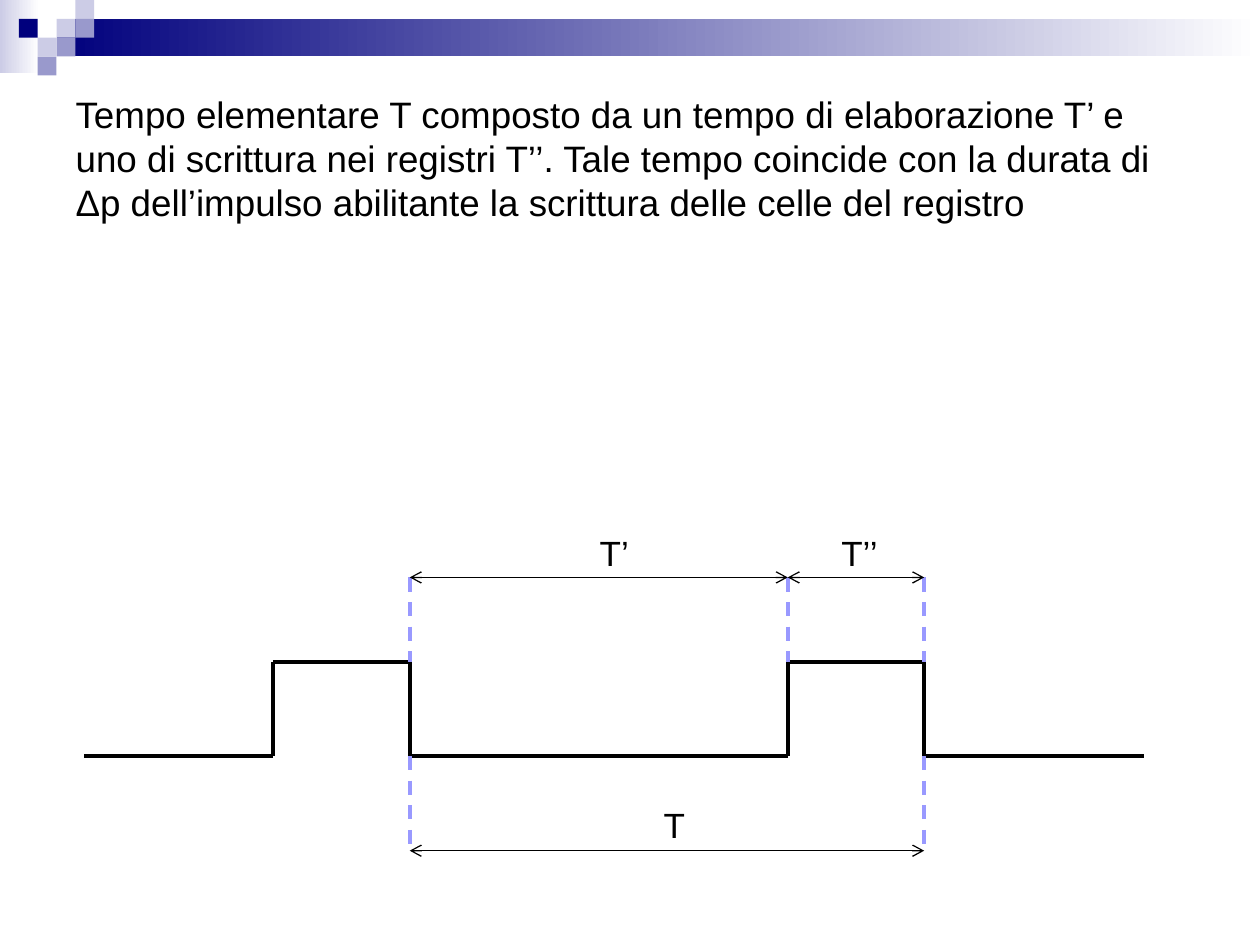
from itertools import pairwise
from lxml import etree
from pptx import Presentation
from pptx.util import Cm, Pt
from pptx.dml.color import RGBColor
from pptx.enum import dml, shapes, text
from pptx.oxml.ns import qn

HUES = {"ink": "000000", "navy": "00007D", "mid": "9999CC",
        "pale": "CCCCE6", "white": "FFFFFF", "dash": "9999FF"}
TITLE = ("Tempo elementare T composto da un tempo di elaborazione T’ e uno di "
         "scrittura nei registri T’’. Tale tempo coincide con la durata di Δp "
         "dell’impulso abilitante la scrittura delle celle del registro")
TILE = 0.38
BANDS = [(0, 0, 0.79, 1.47, "pale"), (1.14, TILE, 24.26, 0.76, "navy")]
TILES = [(3, 1, "pale"), (4, 0, "pale"), (4, 1, "mid"), (2, 2, "pale"),
         (1, 1, "navy"), (3, 2, "mid"), (2, 3, "mid")]

START, RISE, FALL, RISE2, FALL2, END = 1.7, 5.5, 8.26, 15.88, 18.63, 23.07
TOP, HIGH, LOW, BASE = 11.64, 13.34, 15.24, 17.15
WAVE = [(START, LOW), (RISE, LOW), (RISE, HIGH), (FALL, HIGH), (FALL, LOW),
        (RISE2, LOW), (RISE2, HIGH), (FALL2, HIGH), (FALL2, LOW), (END, LOW)]
GUIDES = [(FALL, LOW, BASE), (FALL2, LOW, BASE), (FALL, TOP, HIGH),
          (RISE2, TOP, HIGH), (FALL2, TOP, HIGH)]
SPANS = [(FALL, FALL2, BASE), (FALL, RISE2, TOP), (RISE2, FALL2, TOP)]
LABELS = [("T", 13.13, 16.08, 0.94), ("T’", 11.84, 10.59, 1.09),
          ("T’’", 16.71, 10.59, 1.24)]


def hue(name):
    return RGBColor.from_string(HUES[name])


def block(slide, x, y, w, h):
    box = slide.shapes.add_shape(shapes.MSO_SHAPE.RECTANGLE,
                                 Cm(x), Cm(y), Cm(w), Cm(h))
    box.shadow.inherit = False
    box.line.fill.background()
    return box


def stroke(slide, a, b, name="ink", width=2):
    line = slide.shapes.add_connector(shapes.MSO_CONNECTOR.STRAIGHT,
                                      Cm(a[0]), Cm(a[1]), Cm(b[0]), Cm(b[1]))
    line.line.color.rgb = hue(name)
    line.line.width = Pt(width)
    etree.SubElement(line._element.spPr, qn("a:effectLst"))
    return line


def style(frame, size):
    frame.auto_size = text.MSO_AUTO_SIZE.NONE
    para = frame.paragraphs[0]
    para.alignment = text.PP_ALIGN.LEFT
    for run in para.runs:
        run.font.name = "Arial"
        run.font.size = Pt(size)
        run.font.color.rgb = hue("ink")


def main():
    deck = Presentation()
    deck.slide_width, deck.slide_height = Cm(25.4), Cm(19.05)
    slide = deck.slides.add_slide(deck.slide_layouts[5])

    for x, y, w, h, name in BANDS:
        fill = block(slide, x, y, w, h).fill
        fill.gradient()
        fill.gradient_angle = 180
        for stop, shade in zip(fill.gradient_stops, ("white", name)):
            stop.color.rgb = hue(shade)
        fill.gradient_stops[0].position = 0
        fill.gradient_stops[1].position = 1
    for col, row, name in TILES:
        fill = block(slide, col * TILE, row * TILE, TILE, TILE).fill
        fill.solid()
        fill.fore_color.rgb = hue(name)

    title = slide.shapes.title
    title.left, title.top = Cm(1.27), Cm(1.27)
    title.width, title.height = Cm(22.86), Cm(3.81)
    title.text_frame.text = TITLE
    title.text_frame.vertical_anchor = text.MSO_ANCHOR.MIDDLE
    style(title.text_frame, 21)

    for a, b in pairwise(WAVE):
        stroke(slide, a, b)
    for x, y, end in GUIDES:
        line = stroke(slide, (x, y), (x, end), "dash")
        line.line.dash_style = dml.MSO_LINE.DASH
    for x, end, y in SPANS:
        line = stroke(slide, (x, y), (end, y), width=0.75)
        for tag in ("a:headEnd", "a:tailEnd"):
            etree.SubElement(line.line._get_or_add_ln(), qn(tag), type="arrow")
    for word, x, y, w in LABELS:
        box = slide.shapes.add_textbox(Cm(x), Cm(y), Cm(w), Cm(1.12))
        box.text_frame.text = word
        box.text_frame.word_wrap = False
        style(box.text_frame, 20)

    deck.save("out.pptx")


if __name__ == "__main__":
    main()
